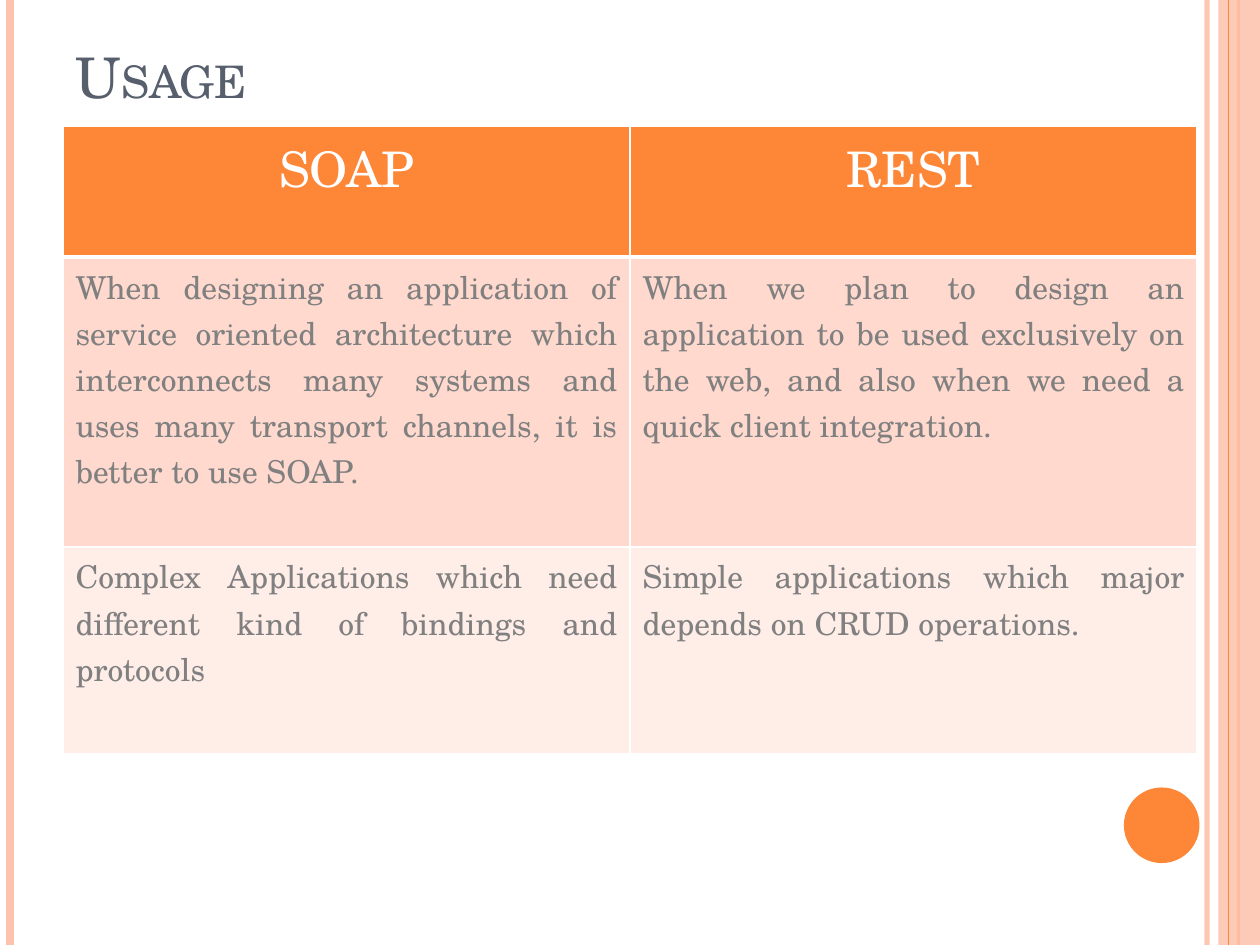
import pptx
import pptx.dml.color
import pptx.enum.shapes
import pptx.enum.text
import pptx.oxml
import pptx.oxml.ns
import pptx.util

WIDTH, HEIGHT = 10, 7.5
FONT = "TeX Gyre Schola"
COLOURS = {
    "orange": "FE8637", "peach": "FEC3AE", "slate": "575F6D", "grey": "808080",
    "white": "FFFFFF", "band_dark": "FFD9CE", "band_light": "FFEDE8",
}
ALIGN = pptx.enum.text.PP_ALIGN
FORMATS = {
    "title": {"name": FONT, "size": pptx.util.Pt(32), "colour": "slate"},
    "header": {"name": FONT, "size": pptx.util.Pt(28), "bold": False, "colour": "white"},
    "body": {"name": FONT, "size": pptx.util.Pt(18), "bold": False, "colour": "grey"},
}
USAGE = [
    ("SOAP", "REST"),
    ("When designing an application of service oriented architecture which interconnects "
     "many systems and uses many transport channels, it is better to use SOAP.",
     "When we plan to design an application to be used exclusively on the web, "
     "and also when we need a quick client integration."),
    ("Complex Applications which need different kind of bindings and protocols",
     "Simple applications which major depends on CRUD operations."),
]
ROW_HEIGHTS = (1.04, 2.3, 1.64)
ROW_FILLS = ("orange", "band_dark", "band_light")


def rgb(colour):
    return pptx.dml.color.RGBColor.from_string(COLOURS[colour])


def inches(*lengths):
    return [pptx.util.Inches(length) for length in lengths]


def format_run(run, style):
    for key, value in FORMATS[style].items():
        if key == "colour":
            run.font.color.rgb = rgb(value)
        else:
            setattr(run.font, key, value)


def set_alpha(element, percent):
    colour = next(element.iter(pptx.oxml.ns.qn("a:srgbClr")))
    colour.append(pptx.oxml.parse_xml(
        f'<a:alpha {pptx.oxml.ns.nsdecls("a")} val="{percent * 1000}"/>'))


def add_stripe(slide, box, share, colour, weight, alpha=100):
    left, top, width, height = box
    x = left + share * width
    stripe = slide.shapes.add_connector(
        pptx.enum.shapes.MSO_CONNECTOR.STRAIGHT, *inches(x, top, x, top + height))
    stripe.line.color.rgb = rgb(colour)
    stripe.line.width = pptx.util.Pt(weight)
    properties = stripe._element.spPr
    if alpha < 100:
        set_alpha(properties, alpha)
    properties.append(pptx.oxml.parse_xml(f'<a:effectLst {pptx.oxml.ns.nsdecls("a")}/>'))


def add_solid(slide, kind, box, colour):
    solid = slide.shapes.add_shape(kind, *inches(*box))
    solid.shadow.inherit = False
    solid.fill.solid()
    solid.fill.fore_color.rgb = rgb(colour)
    solid.line.fill.background()
    return solid


def draw_frame(slide, box):
    left, top, width, height = box
    kinds = pptx.enum.shapes.MSO_SHAPE
    for share, colour, weight, alpha in (
            (0.958, "peach", 3, 93), (0.008, "peach", 4.5, 100), (0.983, "orange", 1.5, 100)):
        add_stripe(slide, box, share, colour, weight, alpha)
    band = add_solid(slide, kinds.RECTANGLE,
                     (left + 0.967 * width, top, 0.033 * width, height), "peach")
    set_alpha(band._element.spPr, 87)
    add_stripe(slide, box, 0.975, "orange", 0.75)
    diameter = 0.06 * width
    add_solid(slide, kinds.OVAL,
              (left + 0.892 * width, top + height * 5 / 6, diameter, diameter), "orange")


def draw_title(slide, box):
    frame = slide.shapes.add_textbox(*inches(*box)).text_frame
    frame.word_wrap = True
    frame.vertical_anchor = pptx.enum.text.MSO_ANCHOR.BOTTOM
    run = frame.paragraphs[0].add_run()
    run.text = "Usage"
    format_run(run, "title")
    run._r.get_or_add_rPr().set("cap", "small")


def add_borders(cell, bottom_weight):
    properties = cell._tc.get_or_add_tcPr()
    for side, weight in zip("LRTB", (1, 1, 1, bottom_weight)):
        properties.append(pptx.oxml.parse_xml(
            f'<a:ln{side} {pptx.oxml.ns.nsdecls("a")} w="{pptx.util.Pt(weight)}">'
            f'<a:solidFill><a:srgbClr val="{COLOURS["white"]}"/></a:solidFill></a:ln{side}>'))


def draw_usage_table(slide, box):
    columns = len(USAGE[0])
    table = slide.shapes.add_table(len(USAGE), columns, *inches(*box)).table
    for column in table.columns:
        column.width = pptx.util.Inches(box[2] / columns)
    for r, (texts, height, fill) in enumerate(zip(USAGE, ROW_HEIGHTS, ROW_FILLS)):
        table.rows[r].height = pptx.util.Inches(height)
        is_header = r == 0
        for c, text in enumerate(texts):
            cell = table.cell(r, c)
            add_borders(cell, 3 if is_header else 1)
            cell.fill.solid()
            cell.fill.fore_color.rgb = rgb(fill)
            paragraph = cell.text_frame.paragraphs[0]
            paragraph.alignment = ALIGN.CENTER if is_header else ALIGN.JUSTIFY
            run = paragraph.add_run()
            run.text = text
            format_run(run, "header" if is_header else "body")


def main():
    deck = pptx.Presentation()
    deck.slide_width, deck.slide_height = inches(WIDTH, HEIGHT)
    slide = deck.slides.add_slide(deck.slide_layouts[6])
    margin, content_width = 0.05 * WIDTH, 0.9 * WIDTH
    draw_frame(slide, (0, 0, WIDTH, HEIGHT))
    draw_title(slide, (margin, 0.023 * HEIGHT, content_width, 0.1 * HEIGHT))
    draw_usage_table(slide, (margin, HEIGHT * 2 / 15, content_width, sum(ROW_HEIGHTS)))
    deck.save("out.pptx")


if __name__ == "__main__":
    main()
